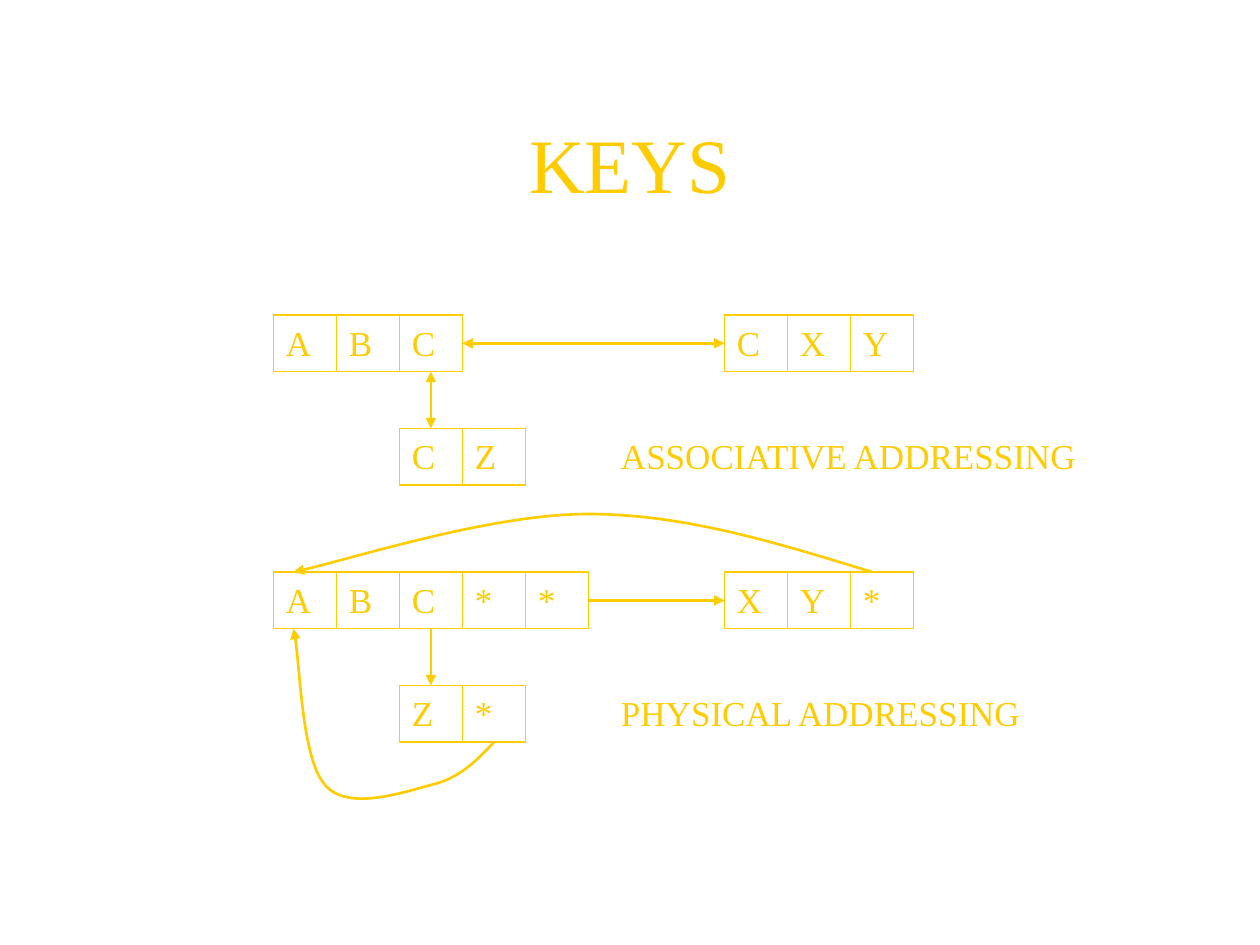
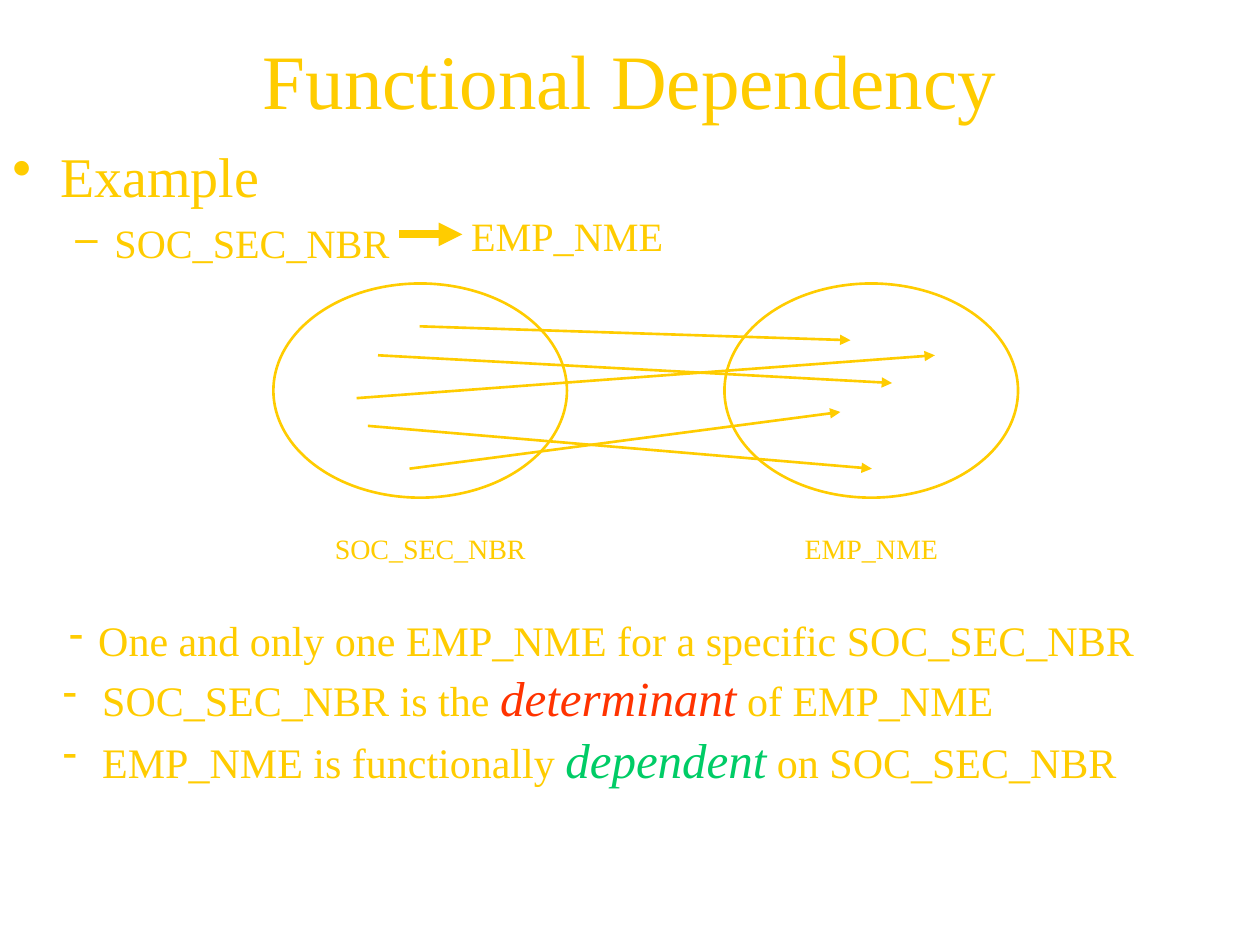
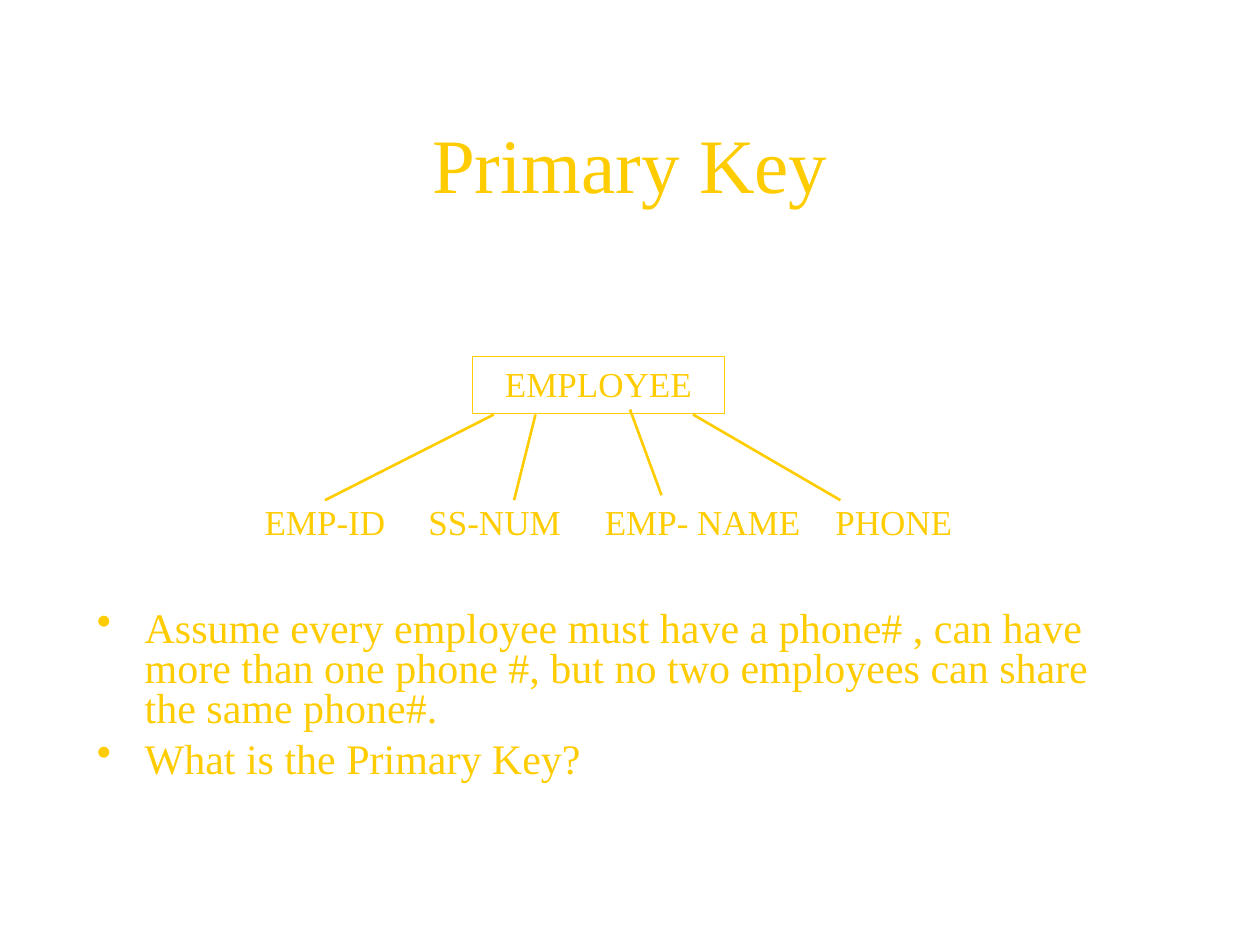
from pptx import Presentation
from pptx import util as u
from pptx.dml.color import RGBColor
from pptx.enum import shapes, text
from pptx.oxml import ns
from lxml import etree

GOLD, RED, GREEN = "FFCC00", "FF3300", "00CC66"
FONT = "Times New Roman"
LEFT, CENTER = text.PP_ALIGN.LEFT, text.PP_ALIGN.CENTER
TOP, MIDDLE = text.MSO_ANCHOR.TOP, text.MSO_ANCHOR.MIDDLE
CELL_W, CELL_H = 0.5, 0.45


def rgb(color):
    """Turn a hex string into a colour."""
    return RGBColor.from_string(color)


def assign(target, values):
    """Set each attribute of the target from a dict."""
    for name, value in values.items():
        setattr(target, name, value)


def sub(parent, tag, **attributes):
    """Append a DrawingML child element."""
    return etree.SubElement(parent, ns.qn(f"a:{tag}"), attributes)


class Deck:
    """Hold the shared style and the current slide."""

    def __init__(self):
        """Start a 4:3 presentation."""
        self.prs = Presentation()
        assign(self.prs, {"slide_width": u.Inches(10), "slide_height": u.Inches(7.5)})
        self.slide = None

    def new_slide(self, title, top):
        """Add a slide with its centred title."""
        self.slide = self.prs.slides.add_slide(self.prs.slide_layouts[5])
        heading = self.slide.shapes.title
        box = dict(zip(("left", "top", "width", "height"), map(u.Inches, (0.75, top, 8.5, 1.25))))
        assign(heading, box)
        self.fill_text(heading, [title], 44, align=CENTER, anchor=MIDDLE)

    def fill_text(self, holder, paragraphs, size, align=LEFT, anchor=TOP):
        """Fill a shape with paragraphs of plain text or (text, format) runs."""
        frame = holder.text_frame
        assign(frame, {"word_wrap": True, "vertical_anchor": anchor})
        for index, runs in enumerate(paragraphs):
            paragraph = frame.add_paragraph() if index else frame.paragraphs[0]
            paragraph.alignment = align
            for content, changes in [(runs, {})] if isinstance(runs, str) else runs:
                style = {"size": size, "color": GOLD, "italic": False, **changes}
                run = paragraph.add_run()
                run.text = content
                run.font.color.rgb = rgb(style["color"])
                assign(run.font, {"name": FONT, "size": u.Pt(style["size"]), "italic": style["italic"]})
        return frame

    def label(self, at, paragraphs, size, align=LEFT):
        """Add a text box."""
        return self.fill_text(self.slide.shapes.add_textbox(*map(u.Inches, at)), paragraphs, size, align)

    def bullet(self, paragraph, mark, margin, hanging):
        """Give a paragraph a hanging bullet."""
        properties = paragraph._p.get_or_add_pPr()
        properties.set("marL", str(u.Inches(margin)))
        properties.set("indent", str(-u.Inches(hanging)))
        sub(sub(properties, "buClr"), "srgbClr", val=GOLD)
        sub(properties, "buChar", char=mark)

    def tabs(self, paragraph, stops):
        """Set left tab stops."""
        tab_list = sub(paragraph._p.get_or_add_pPr(), "tabLst")
        for stop in stops:
            sub(tab_list, "tab", pos=str(u.Inches(stop)), algn="l")

    def stroke(self, item, width, ends=()):
        """Style an outline and add arrowheads."""
        item.line.color.rgb = rgb(GOLD)
        item.line.width = u.Pt(width)
        for end in ends:
            sub(item.element.spPr.get_or_add_ln(), end, type="triangle")

    def outline(self, kind, at, width):
        """Add an unfilled preset shape."""
        shape = self.slide.shapes.add_shape(kind, *map(u.Inches, at))
        shape.shadow.inherit = False
        shape.fill.background()
        self.stroke(shape, width)
        return shape

    def box(self, at, content, align=LEFT):
        """Add a lettered rectangle."""
        shape = self.outline(shapes.MSO_SHAPE.RECTANGLE, at, 0.75)
        self.fill_text(shape, [content], 20, align)
        return shape

    def record(self, left, top, fields):
        """Add a row of adjoining field cells."""
        return [self.box((left + i * CELL_W, top, CELL_W, CELL_H), field) for i, field in enumerate(fields)]

    def line(self, start, end, width=1.5, ends=()):
        """Add a straight line between two points."""
        connector = self.slide.shapes.add_connector(
            shapes.MSO_CONNECTOR.STRAIGHT, *map(u.Inches, start + end))
        self.stroke(connector, width, ends)
        sub(connector.element.spPr, "effectLst")
        return connector

    def link(self, source, source_side, target, target_side, ends):
        """Join the sides of two cells."""
        connector = self.line((0, 0), (1, 1), ends=ends)
        connector.begin_connect(source, source_side)
        connector.end_connect(target, target_side)

    def curve(self, points):
        """Add a curved arrow from a start point and Bézier triples."""
        start, *rest = [tuple(map(u.Inches, point)) for point in points]
        builder = self.slide.shapes.build_freeform(*start)
        shape = builder.add_line_segments(rest, close=False).convert_to_shape()
        segments = list(shape.element.iter(ns.qn("a:lnTo")))
        route = segments[0].getparent()
        for i in range(0, len(segments), 3):
            bend = sub(route, "cubicBezTo")
            for segment in segments[i:i + 3]:
                bend.append(segment[0])
                route.remove(segment)
        shape.shadow.inherit = False
        shape.fill.background()
        self.stroke(shape, 1.5, ["tailEnd"])


def keys(deck):
    """Build the comparison of addressing by key."""
    deck.new_slide("KEYS", 0.67)
    both, forward = ("headEnd", "tailEnd"), ("tailEnd",)
    schemes = [
        (2.5, "ABC", "CXY", "CZ", "ASSOCIATIVE ADDRESSING", both),
        (4.54, "ABC**", "XY*", "Z*", "PHYSICAL ADDRESSING", forward),
    ]
    for top, owner, member, detail, caption, ends in schemes:
        owner_cells = deck.record(2.17, top, owner)
        member_cells = deck.record(5.75, top, member)
        detail_cells = deck.record(3.17, top + 0.9, detail)
        deck.link(owner_cells[-1], 3, member_cells[0], 1, ends)
        deck.link(owner_cells[2], 2, detail_cells[0], 0, ends)
        deck.label((4.83, top + 0.9, 3.92, CELL_H), [caption], 20)
    deck.curve([(6.92, 4.54), (6.17, 4.31), (5.43, 4.08), (4.67, 4.08),
                (3.9, 4.08), (2.72, 4.46), (2.33, 4.54)])
    deck.curve([(3.92, 5.89), (3.78, 6.04), (3.64, 6.18), (3.42, 6.23), (3.19, 6.29),
                (2.76, 6.44), (2.58, 6.23), (2.4, 6.03), (2.38, 5.2), (2.33, 4.99)])


def functional_dependency(deck):
    """Build the mapping from determinant to dependent."""
    deck.new_slide("Functional Dependency", 0)
    example = deck.label((0, 1, 10, 4.5), ["Example", [("SOC_SEC_NBR", {"size": 23})]], 32)
    example.margin_top = u.Inches(0.12)
    heading, rule = example.paragraphs
    rule.space_before = u.Pt(5.8)
    deck.bullet(heading, "•", 0.38, 0.38)
    deck.bullet(rule, "–", 0.81, 0.31)
    deck.label((3.64, 1.63, 2, 0.45), ["EMP_NME"], 23)
    deck.line((3.17, 1.86), (3.67, 1.86), 4.5, ["tailEnd"])

    for left, label_left, domain in [(2.17, 2.33, "SOC_SEC_NBR"), (5.75, 5.83, "EMP_NME")]:
        deck.outline(shapes.MSO_SHAPE.OVAL, (left, 2.25, 2.33, 1.7), 1.5)
        deck.label((label_left, 4.17, 2.17, 0.34), [domain], 16, CENTER)
    mappings = [
        ((3.33, 2.59), (6.75, 2.7)),
        ((2.83, 3.16), (7.42, 2.82)),
        ((3, 2.82), (7.08, 3.04)),
        ((2.92, 3.38), (6.92, 3.72)),
        ((3.25, 3.72), (6.67, 3.27)),
    ]
    for number, name in mappings:
        deck.line(number, name, ends=["tailEnd"])

    term = {"size": 28, "italic": True}
    conclusions = deck.label((0.4, 4.83, 8.75, 0.34), [
        "One and only one EMP_NME for a specific SOC_SEC_NBR",
        [(" SOC_SEC_NBR is the ", {}), ("determinant", {**term, "color": RED}), (" of EMP_NME", {})],
        [(" EMP_NME is functionally ", {}), ("dependent", {**term, "color": GREEN}),
         (" on SOC_SEC_NBR", {})],
    ], 24)
    for index, conclusion in enumerate(conclusions.paragraphs):
        assign(conclusion, {"alignment": LEFT if index else CENTER,
                            "space_before": u.Pt(1.5 if index else 0)})
        deck.bullet(conclusion, "-", 0.23, 0.23)


def primary_key(deck):
    """Build the employee attributes and the question."""
    deck.new_slide("Primary Key", 0.67)
    questions = deck.label((0.67, 4.75, 8.5, 1.83), [
        "Assume every employee must have a phone# , can have more than one phone #, "
        "but no two employees can share the same phone#.",
        "What is the Primary Key?",
    ], 24)
    questions.margin_top = u.Inches(0.1)
    for index, question in enumerate(questions.paragraphs):
        assign(question, {"line_spacing": 0.8, "space_before": u.Pt(6 if index else 0)})
        deck.bullet(question, "•", 0.38, 0.38)

    deck.box((3.75, 2.83, 2, CELL_H), "EMPLOYEE", CENTER)
    branches = [
        ((3.92, 3.29), (2.58, 3.97)),
        ((4.25, 3.29), (4.08, 3.97)),
        ((5, 3.25), (5.25, 3.93)),
        ((5.5, 3.29), (6.67, 3.97)),
    ]
    for entity, attribute in branches:
        deck.line(entity, attribute)
    attributes = deck.label((1.92, 3.92, 5.83, CELL_H), ["EMP-ID\tSS-NUM\tEMP- NAME\tPHONE"], 20)
    attributes.margin_left = u.Inches(0.18)
    deck.tabs(attributes.paragraphs[0], (1.3, 2.7, 4.53))


def main():
    """Build and save the presentation."""
    deck = Deck()
    for build in (keys, functional_dependency, primary_key):
        build(deck)
    deck.prs.save("out.pptx")


if __name__ == "__main__":
    main()
